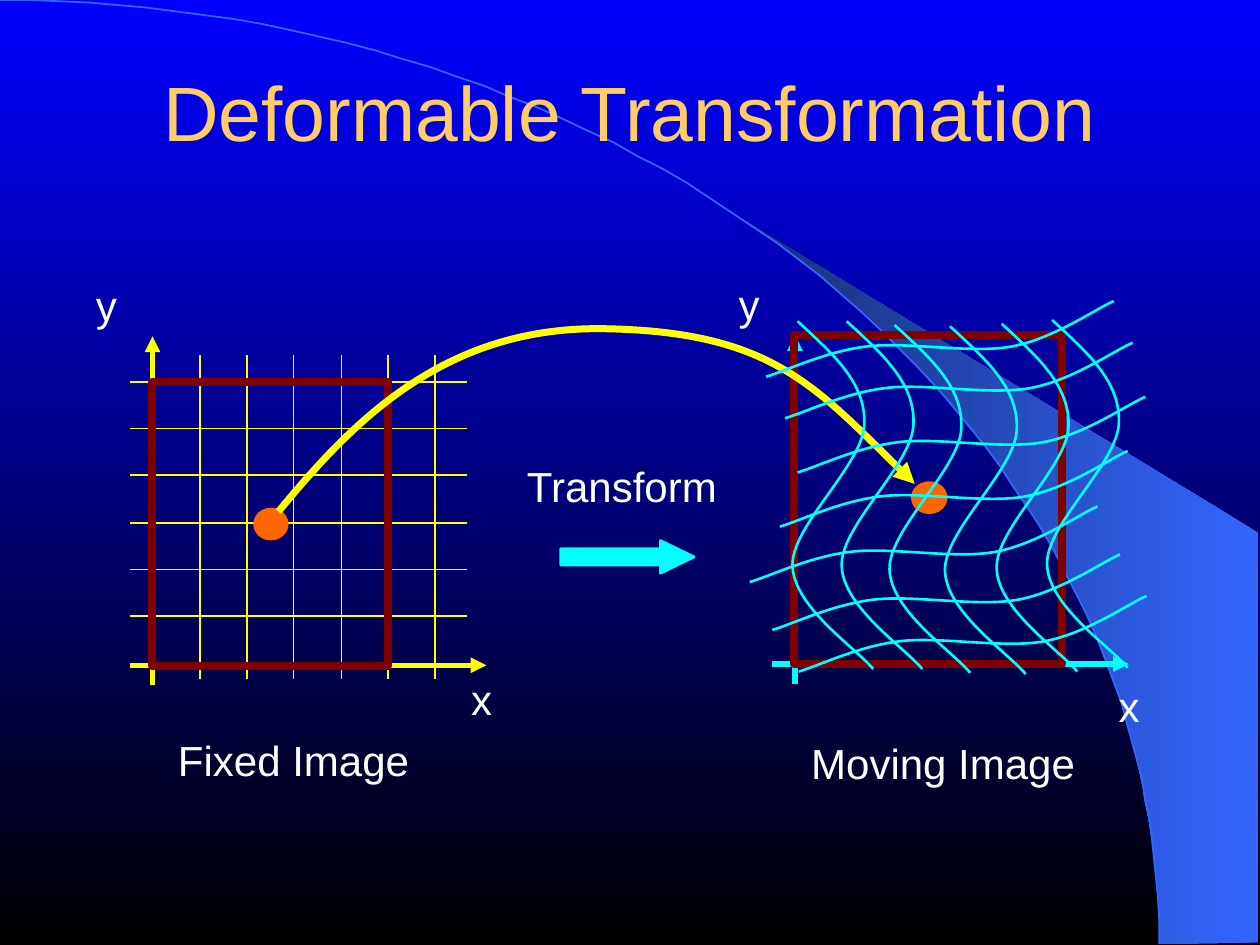
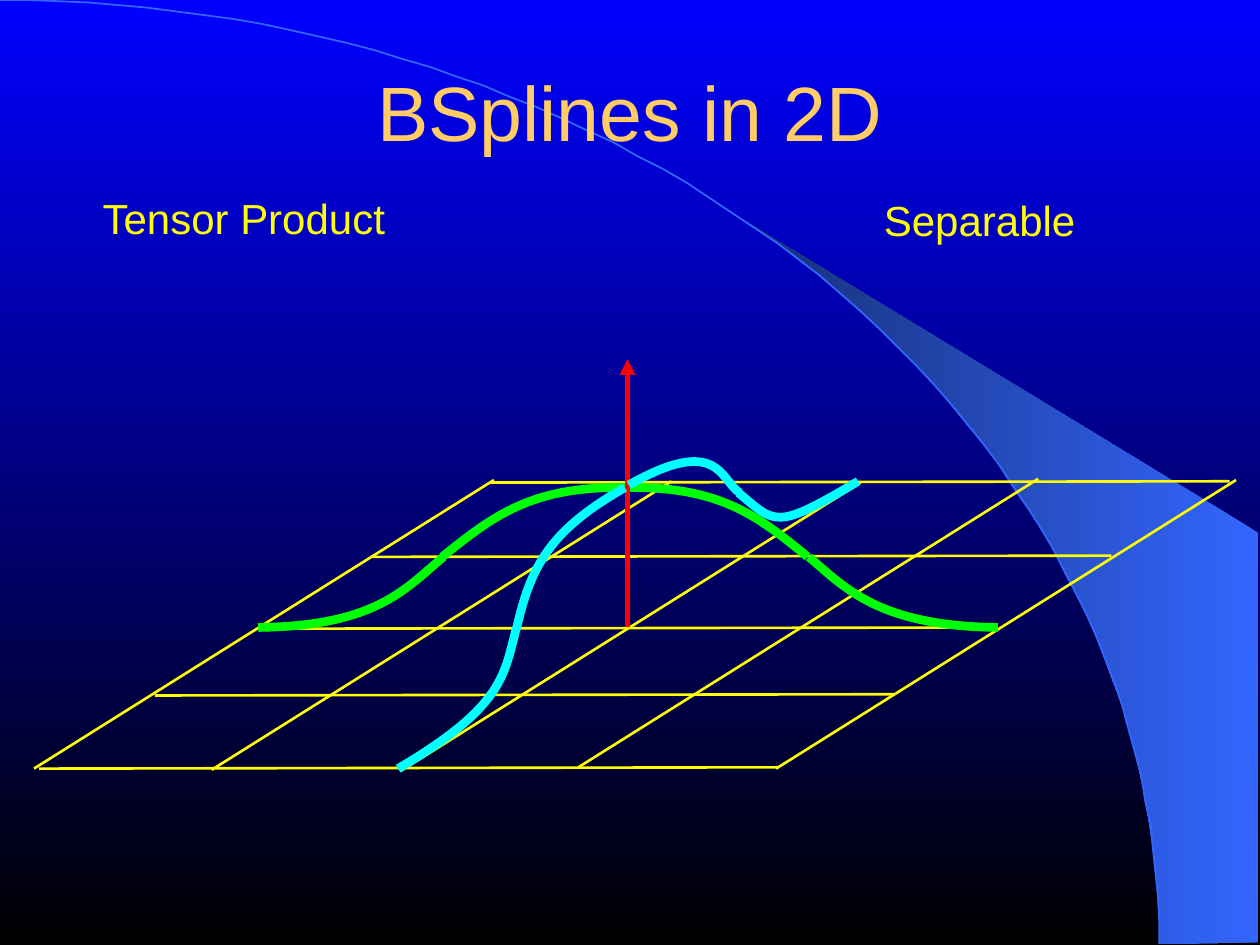
from math import cos, radians, sin

from lxml.etree import SubElement
from pptx import Presentation
from pptx.dml.color import RGBColor
from pptx.enum.shapes import MSO_CONNECTOR, MSO_SHAPE
from pptx.enum.text import MSO_ANCHOR, MSO_AUTO_SIZE, PP_ALIGN
from pptx.oxml.ns import qn
from pptx.util import Pt

PX = 9144  # 100 px to the inch
WIDTH, HEIGHT = 1000, 750
COLORS = {
    "sky": "0000FF", "night": "000000", "band": "3366FF", "band_dark": "172F75",
    "title": "FFCC66", "white": "FFFFFF", "yellow": "FFFF00", "cyan": "00FFFF",
    "green": "00FF00", "red": "FF0000", "maroon": "800000", "orange": "FF6600",
}
TITLE_FORMAT = {"name": "Arial", "size": Pt(44)}
LABEL_FORMAT = {"name": "Arial", "size": Pt(24)}
TITLE_BOX = (75, 12, 850, 151)
ARC_CENTER_Y, ARC_RADII = 749, (920, 749)

# Deformable Transformation: text, box, inset
TRANSFORM_LABELS = [
    ("y", (66, 225, 37, 42), (10, 5)),
    ("Fixed Image", (121, 586, 224, 42), (10, 5)),
    ("Transform", (409, 373, 169, 32), (0, 0)),
    ("x", (878, 543, 36, 42), (10, 5)),
    ("y", (576, 224, 37, 42), (10, 5)),
    ("Moving Image", (630, 588, 237, 42), (10, 5)),
    ("x", (364, 537, 36, 42), (10, 5)),
]
AXES = [
    ("cyan", (631, 543), (631, 266)),
    ("cyan", (613, 527), (896, 527)),
    ("yellow", (121, 544), (121, 267)),
    ("yellow", (103, 528), (386, 528)),
]
GRID_COUNT, GRID_STEP = 6, 37.2
GRID_FIRST_X, GRID_FIRST_Y = 159, 303
GRID_X_RANGE, GRID_Y_RANGE = (103, 371), (282, 539)
IMAGE_FRAMES = [(121, 303, 187, 226), (630, 266, 213, 261)]
MAPPED_POINTS = [(201, 403, 28, 26), (723, 382, 29, 26)]
TRANSFORM_ARROW = (445, 429, 106, 26)
MAPPING_CURVE = [(221, 406), (281, 333), (355, 257), (484, 261),
                 (612, 264), (651, 311), (726, 384)]
# Each family is one curve, as steps from its start, drawn from several starts
WARPED_FAMILIES = [
    ([(0, 0), (27, 25), (54, 48), (53, 81), (53, 113), (-5, 162), (-4, 194),
      (-3, 227), (46, 259), (60, 276)],
     [(633, 255), (672, 255), (710, 258), (754, 259), (795, 257), (835, 254)]),
    ([(0, 0), (-14, 6), (-48, 30), (-81, 36), (-113, 42), (-164, 32), (-196, 36),
      (-229, 40), (-259, 55), (-276, 60)],
     [(910, 473), (889, 440), (871, 402), (895, 358), (909, 315), (899, 272),
      (884, 239)]),
]

# BSplines in 2D
SPLINE_LABELS = [
    ("Tensor Product", (57, 156, 273, 42), (10, 5)),
    ("Separable", (641, 157, 273, 42), (10, 5)),
]
# Direction of a family of parallel lines, and the start of each line
PLANE_FAMILIES = [
    ((365, -229), [(318, 612), (27, 610), (168, 611), (459, 609), (616, 610)]),
    ((587, -1), [(205, 499), (389, 383), (295, 442), (123, 552), (31, 610)]),
]
GREEN_SPLINE = [
    [(352, 442), (322, 467), (299, 497), (205, 498)],
    [(351, 442), (392, 409), (422, 386), (496, 387)],
    [(642, 442), (671, 467), (698, 497), (792, 498)],
    [(641, 442), (601, 409), (571, 386), (497, 387)],
]
CYAN_SPLINE = [
    [(410, 498), (400, 535), (401, 560), (316, 610)],
    [(410, 499), (421, 450), (436, 421), (496, 387)],
    [(586, 391), (616, 416), (615, 421), (681, 382)],
    [(587, 391), (572, 382), (571, 344), (499, 385)],
]
HEIGHT_AXIS = ((498, 498), (498, 285))


def rgb(color):
    return RGBColor.from_string(COLORS[color])


def emu(lengths):
    return [length * PX for length in lengths]


def shift(point, offset):
    return point[0] + offset[0], point[1] + offset[1]


def set_gradient(fill, colors, angle):
    fill.gradient()
    fill.gradient_angle = angle
    for stop, color in zip(fill.gradient_stops, colors):
        stop.color.rgb = rgb(color)


def set_line(shape, color, width, arrow=False):
    shape.line.color.rgb = rgb(color)
    shape.line.width = Pt(width)
    if arrow:
        outline = shape._element.spPr.find(qn("a:ln"))
        SubElement(outline, qn("a:tailEnd"), type="triangle")


def add_straight(slide, start, end, color, width, arrow=False):
    connector = slide.shapes.add_connector(
        MSO_CONNECTOR.STRAIGHT, *emu(start), *emu(end))
    set_line(connector, color, width, arrow)
    SubElement(connector._element.spPr, qn("a:effectLst"))


def add_outline(slide, points, close=False):
    builder = slide.shapes.build_freeform(*points[0], scale=PX)
    builder.add_line_segments(points[1:], close=close)
    shape = builder.convert_to_shape()
    shape.shadow.inherit = False
    shape.fill.background()
    return shape


def add_curve(slide, points, color, width, arrow=False):
    """Draw a start point followed by Bezier triples."""
    shape = add_outline(slide, points)
    outline = next(shape._element.iter(qn("a:path")))
    segments = outline.findall(qn("a:lnTo"))
    for first in range(0, len(segments), 3):
        cubic = SubElement(outline, qn("a:cubicBezTo"))
        for segment in segments[first:first + 3]:
            cubic.append(segment[0])
            outline.remove(segment)
    set_line(shape, color, width, arrow)


def add_preset(slide, kind, box, fill=None, line=None, width=1):
    shape = slide.shapes.add_shape(kind, *emu(box))
    shape.shadow.inherit = False
    if fill:
        shape.fill.solid()
        shape.fill.fore_color.rgb = rgb(fill)
    else:
        shape.fill.background()
    if line:
        set_line(shape, line, width)
    else:
        shape.line.fill.background()
    return shape


def add_text(slide, text, box, inset, color, formats, line_spacing=1.0,
             anchor=MSO_ANCHOR.TOP, auto_size=MSO_AUTO_SIZE.NONE):
    frame = slide.shapes.add_textbox(*emu(box)).text_frame
    across, down = emu(inset)
    frame_format = {
        "word_wrap": True, "auto_size": auto_size, "vertical_anchor": anchor,
        "margin_left": across, "margin_right": across,
        "margin_top": down, "margin_bottom": down,
    }
    for name, value in frame_format.items():
        setattr(frame, name, value)
    paragraph = frame.paragraphs[0]
    paragraph.alignment = PP_ALIGN.CENTER
    paragraph.line_spacing = line_spacing
    run = paragraph.add_run()
    run.text = text
    for name, value in formats.items():
        setattr(run.font, name, value)
    run.font.color.rgb = rgb(color)


def add_labels(slide, labels, color):
    for text, box, inset in labels:
        add_text(slide, text, box, inset, color, LABEL_FORMAT, 0.8,
                 auto_size=MSO_AUTO_SIZE.SHAPE_TO_FIT_TEXT)


def arc_points(end_degrees, steps):
    """Points of the backdrop ellipse, from its right end upwards."""
    angles = [radians(end_degrees * step / steps) for step in range(steps + 1)]
    return [(round(ARC_RADII[0] * cos(angle)),
             round(ARC_CENTER_Y - ARC_RADII[1] * sin(angle))) for angle in angles]


def add_titled_slide(presentation, title):
    slide = presentation.slides.add_slide(presentation.slide_layouts[6])
    band = add_outline(
        slide, arc_points(50.2, 34) + [(999, 423), (999, 748)], close=True)
    set_gradient(band.fill, ("band", "band_dark"), 180)
    band.line.fill.background()
    set_line(add_outline(slide, arc_points(90, 62)), "band", 1)
    add_text(slide, title, TITLE_BOX, (0, 0), "title", TITLE_FORMAT,
             anchor=MSO_ANCHOR.MIDDLE)
    return slide


def build_transformation(presentation):
    slide = add_titled_slide(presentation, "Deformable Transformation")
    add_labels(slide, TRANSFORM_LABELS, "white")
    for color, start, end in AXES:
        add_straight(slide, start, end, color, 3, arrow=True)
    left, right = GRID_X_RANGE
    top, bottom = GRID_Y_RANGE
    for index in range(GRID_COUNT):
        x = round(GRID_FIRST_X + index * GRID_STEP)
        y = round(GRID_FIRST_Y + index * GRID_STEP)
        add_straight(slide, (left, y), (right, y), "yellow", 1)
        add_straight(slide, (x, top), (x, bottom), "yellow", 1)
    for box in IMAGE_FRAMES:
        add_preset(slide, MSO_SHAPE.RECTANGLE, box, line="maroon", width=4.5)
    arrow = add_preset(slide, MSO_SHAPE.RIGHT_ARROW, TRANSFORM_ARROW,
                       "cyan", "cyan", 1.5)
    arrow.adjustments[1] = 1.03
    for box in MAPPED_POINTS:
        add_preset(slide, MSO_SHAPE.OVAL, box, "orange")
    add_curve(slide, MAPPING_CURVE, "yellow", 4, arrow=True)
    for steps, starts in WARPED_FAMILIES:
        for start in starts:
            add_curve(slide, [shift(start, step) for step in steps], "cyan", 1.5)


def build_splines(presentation):
    slide = add_titled_slide(presentation, "BSplines in 2D")
    add_labels(slide, SPLINE_LABELS, "yellow")
    for direction, starts in PLANE_FAMILIES:
        for start in starts:
            add_straight(slide, start, shift(start, direction), "yellow", 1.5)
    for points in GREEN_SPLINE:
        add_curve(slide, points, "green", 5)
    add_straight(slide, *HEIGHT_AXIS, "red", 3, arrow=True)
    for points in CYAN_SPLINE:
        add_curve(slide, points, "cyan", 5)


def main():
    presentation = Presentation()
    presentation.slide_width, presentation.slide_height = emu((WIDTH, HEIGHT))
    set_gradient(presentation.slide_master.background.fill, ("sky", "night"), 270)
    build_transformation(presentation)
    build_splines(presentation)
    presentation.save("out.pptx")


if __name__ == "__main__":
    main()
